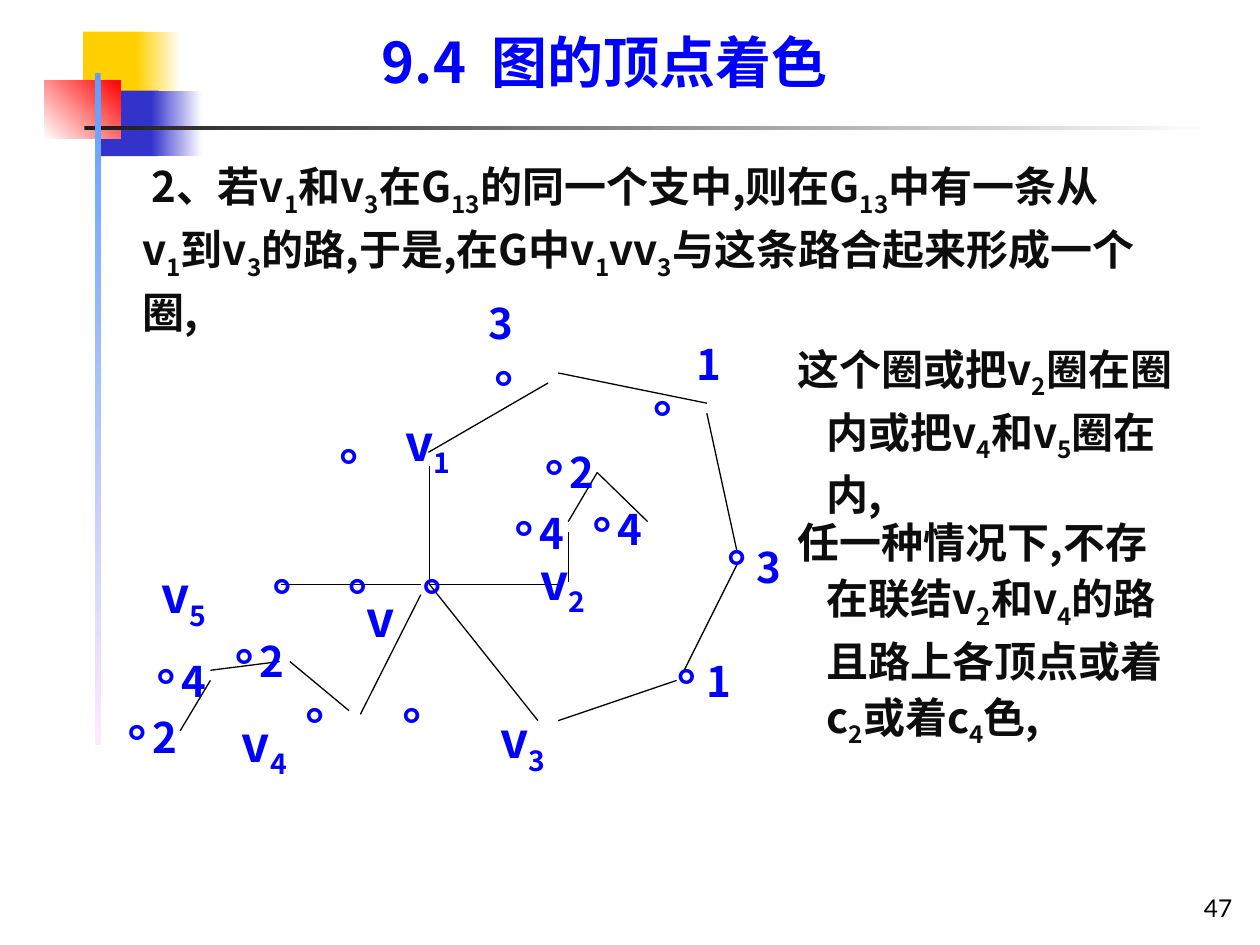
from typing import NamedTuple

from lxml.etree import SubElement
from pptx import Presentation
from pptx.dml.color import RGBColor
from pptx.enum.shapes import MSO_CONNECTOR, MSO_SHAPE
from pptx.enum.text import MSO_ANCHOR, MSO_AUTO_SIZE, PP_ALIGN
from pptx.oxml.ns import qn
from pptx.util import Inches, Pt

BLUE = RGBColor(0x00, 0x00, 0xFF)
BLACK = RGBColor(0x00, 0x00, 0x00)
INK = RGBColor(0x0D, 0x0D, 0x0D)
WHITE = RGBColor(0xFF, 0xFF, 0xFF)
GOLD = RGBColor(0xFF, 0xCF, 0x01)
NAVY = RGBColor(0x33, 0x33, 0xCC)
RED = RGBColor(0xFF, 0x00, 0x00)
COAL = RGBColor(0x1C, 0x1C, 0x1C)
SKY = RGBColor(0x5E, 0x9E, 0xFF)
PINK = RGBColor(0xFF, 0xEB, 0xFA)
HAN = "Noto Sans CJK SC"


class Box(NamedTuple):
    x: float
    y: float
    w: float
    h: float


class Block(NamedTuple):
    box: Box
    start: RGBColor
    end: RGBColor
    angle: int = 0


class Label(NamedTuple):
    x: float
    y: float
    text: str
    w: float = 0.94


class Edge(NamedTuple):
    x1: float
    y1: float
    x2: float
    y2: float


def place(shape, box: Box) -> None:
    shape.left, shape.top, shape.width, shape.height = map(Inches, box)


def write(shape, text: str, *, size=24, color=BLUE, font=HAN, bold=True,
          space=0.9, align=PP_ALIGN.LEFT, anchor=MSO_ANCHOR.TOP,
          inset=(0, 0), margin=0.0, indent=0.0) -> None:
    """Fill a shape with one paragraph; every second part between bars is a subscript."""
    frame = shape.text_frame
    frame.word_wrap = True
    frame.auto_size = MSO_AUTO_SIZE.NONE
    frame.vertical_anchor = anchor
    frame.margin_left = frame.margin_right = Inches(inset[0])
    frame.margin_top = frame.margin_bottom = Inches(inset[1])
    para = frame.paragraphs[0]
    props = para._p.get_or_add_pPr()
    props.set("marL", str(Inches(margin)))
    props.set("indent", str(Inches(indent)))
    SubElement(props, qn("a:buNone"))
    para.alignment = align
    para.line_spacing = space
    para.space_before = Pt(0)
    for i, part in enumerate(text.split("|")):
        run = para.add_run()
        run.text = part
        run.font.size = Pt(size)
        run.font.bold = bold
        run.font.color.rgb = color
        run.font.name = font
        look = run._r.get_or_add_rPr()
        SubElement(look, qn("a:ea")).set("typeface", font)
        if i % 2:
            look.set("baseline", "-25000")


def add_text(slide, box: Box, text: str, **style) -> None:
    write(slide.shapes.add_textbox(*map(Inches, box)), text, **style)


def add_block(slide, block: Block) -> None:
    shape = slide.shapes.add_shape(MSO_SHAPE.RECTANGLE, *map(Inches, block.box))
    shape.shadow.inherit = False
    shape.line.fill.background()
    if block.start == block.end:
        shape.fill.solid()
        shape.fill.fore_color.rgb = block.start
        return
    shape.fill.gradient()
    shape.fill.gradient_angle = block.angle
    for stop, color in zip(shape.fill.gradient_stops, (block.start, block.end)):
        stop.color.rgb = color


def add_edge(slide, edge: Edge) -> None:
    line = slide.shapes.add_connector(MSO_CONNECTOR.STRAIGHT, *map(Inches, edge))
    line.line.color.rgb = BLACK
    line.line.width = Pt(0.75)
    SubElement(line._element.spPr, qn("a:effectLst"))


def add_node(slide, x: float, y: float) -> None:
    add_text(slide, Box(x, y, 0.24, 0.42), "°", size=28, font="Arial")


BLOCKS = [
    Block(Box(0.66, 0.25, 0.48, 0.52), GOLD, GOLD),
    Block(Box(1.08, 0.25, 0.36, 0.52), GOLD, WHITE),
    Block(Box(0.8, 0.72, 0.46, 0.52), NAVY, NAVY),
    Block(Box(1.2, 0.72, 0.4, 0.52), NAVY, WHITE),
    Block(Box(0.35, 0.64, 0.61, 0.46), WHITE, RED, 45),
    Block(Box(0.67, 1, 9, 0.03), COAL, WHITE),
    Block(Box(0.75, 0.58, 0.05, 5.33), SKY, PINK, 270),
]
NODES = [
    (2.69, 3.5), (2.16, 4.53), (2.76, 4.53), (3.35, 4.53), (2.42, 5.56),
    (3.19, 5.56), (5.18, 3.12), (5.77, 4.3), (5.37, 5.25), (3.92, 2.88),
]
NAMES = [
    Label(3.22, 3.28, "v|1"), Label(2.91, 4.72, "v"), Label(4.29, 4.38, "v|2"),
    Label(3.97, 5.64, "v|3"), Label(1.92, 5.67, "v|4"), Label(1.28, 4.49, "v|5"),
]
# Colour numbers on the outer ring
RING = [
    Label(6, 4.34, "3", 0.18), Label(5.53, 2.73, "1", 0.25),
    Label(3.88, 2.41, "3"), Label(5.61, 5.25, "1", 0.18),
]
# Nodes with their colour number beside them
PAIRS = [
    Label(4.08, 4.07, "4"), Label(4.32, 3.59, "2"), Label(4.7, 4.04, "4"),
    Label(1.86, 5.09, "2"), Label(1.24, 5.25, "4"), Label(1.01, 5.69, "2"),
]
EDGES = [
    # Spokes from v
    Edge(3.41, 3.7, 3.41, 4.64), Edge(2.23, 4.64, 3.34, 4.64),
    Edge(3.41, 4.64, 4.44, 4.64), Edge(3.34, 4.72, 2.86, 5.67),
    Edge(3.41, 4.64, 4.27, 5.72),
    # Outer ring
    Edge(4.43, 5.72, 5.37, 5.4), Edge(5.43, 5.32, 5.86, 4.46),
    Edge(5.85, 4.38, 5.61, 3.28), Edge(4.43, 2.96, 5.61, 3.2),
    Edge(4.35, 3.04, 3.4, 3.59),
    # Path at v2
    Edge(4.51, 4.14, 4.74, 3.75), Edge(4.51, 4.22, 4.51, 4.62),
    Edge(4.74, 3.75, 5.14, 4.14),
    # Path at v4
    Edge(2.3, 5.25, 2.77, 5.64), Edge(1.67, 5.32, 2.22, 5.25),
    Edge(1.67, 5.4, 1.43, 5.8),
]


def main() -> None:
    deck = Presentation()
    deck.slide_width, deck.slide_height = Inches(10), Inches(7.5)
    slide = deck.slides.add_slide(deck.slide_layouts[1])

    # Frame and page number
    for block in BLOCKS:
        add_block(slide, block)
    add_text(slide, Box(7.8, 6.87, 2.08, 0.5), "47", size=14, color=BLACK,
             font="Lato", bold=False, space=1.0, align=PP_ALIGN.RIGHT,
             anchor=MSO_ANCHOR.BOTTOM, inset=(0.1, 0.05))

    # Title and proof text
    title, body = slide.placeholders
    place(title, Box(3.03, 0.28, 4.17, 0.48))
    write(title, "9.4  图的顶点着色", size=32)
    prose = dict(color=INK, space=1.1, margin=0.38)
    place(body, Box(0.75, 1.23, 8.27, 1.44))
    write(body, "2、若v|1|和v|3|在G|13|的同一个支中,则在G|13|中有一条从v|1|到v|3|"
          "的路,于是,在G中v|1|vv|3|与这条路合起来形成一个圈,", indent=0.07, **prose)
    add_text(slide, Box(6.18, 2.68, 3.31, 1.44),
             "这个圈或把v|2|圈在圈内或把v|4|和v|5|圈在内,", indent=-0.23, **prose)
    add_text(slide, Box(6.18, 4.06, 3.15, 1.88),
             "任一种情况下,不存在联结v|2|和v|4|的路且路上各顶点或着c|2|或着c|4|色,",
             indent=-0.23, **prose)

    # Graph
    for edge in EDGES:
        add_edge(slide, edge)
    for x, y in NODES:
        add_node(slide, x, y)
    for name in NAMES:
        add_text(slide, Box(name.x, name.y, 1.1, 0.48), name.text, size=28)
    for pair in PAIRS:
        add_node(slide, pair.x, pair.y)
    for mark in RING + [pair._replace(x=pair.x + 0.2) for pair in PAIRS]:
        add_text(slide, Box(mark.x, mark.y, mark.w, 0.36), mark.text)

    deck.save("out.pptx")


if __name__ == "__main__":
    main()
